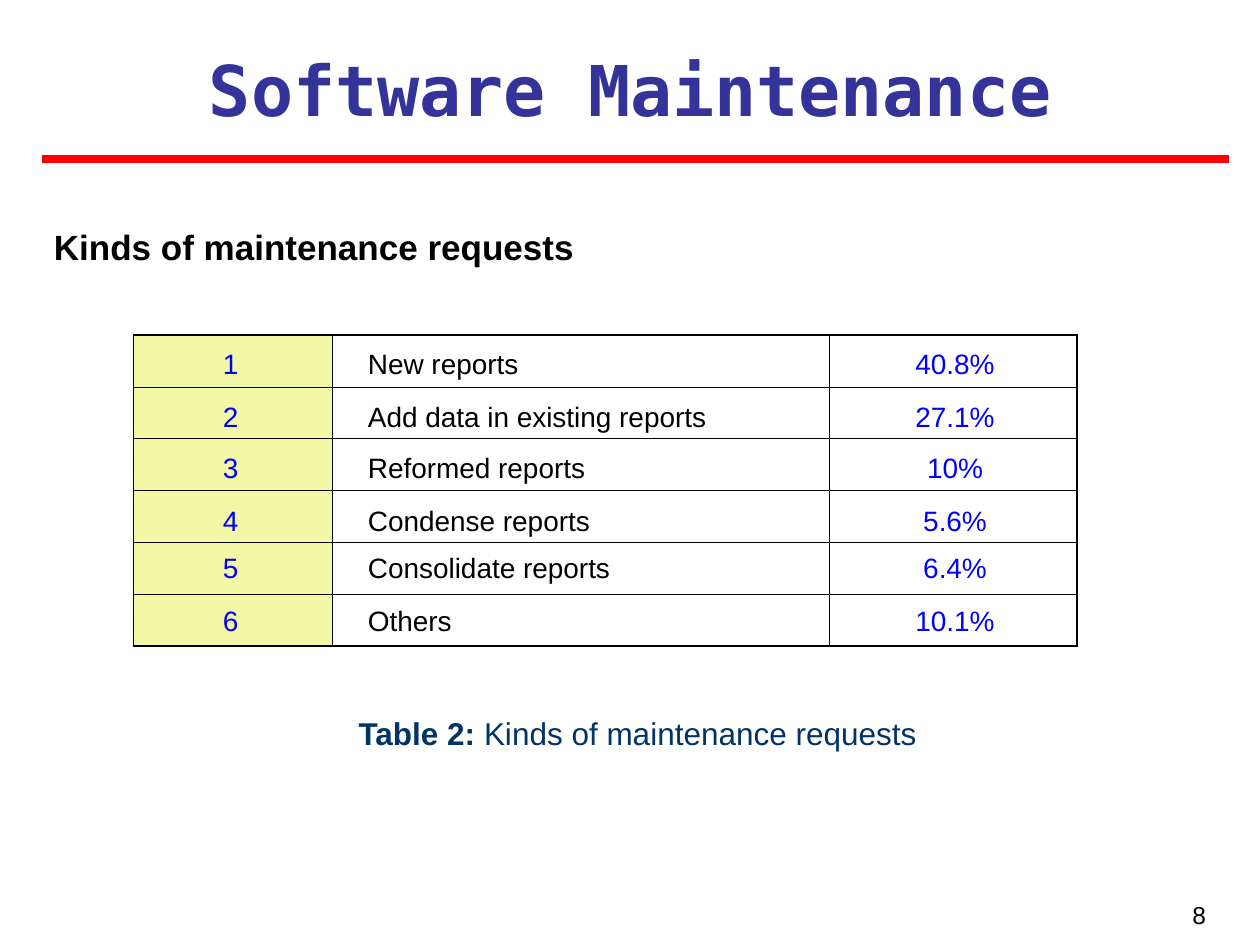
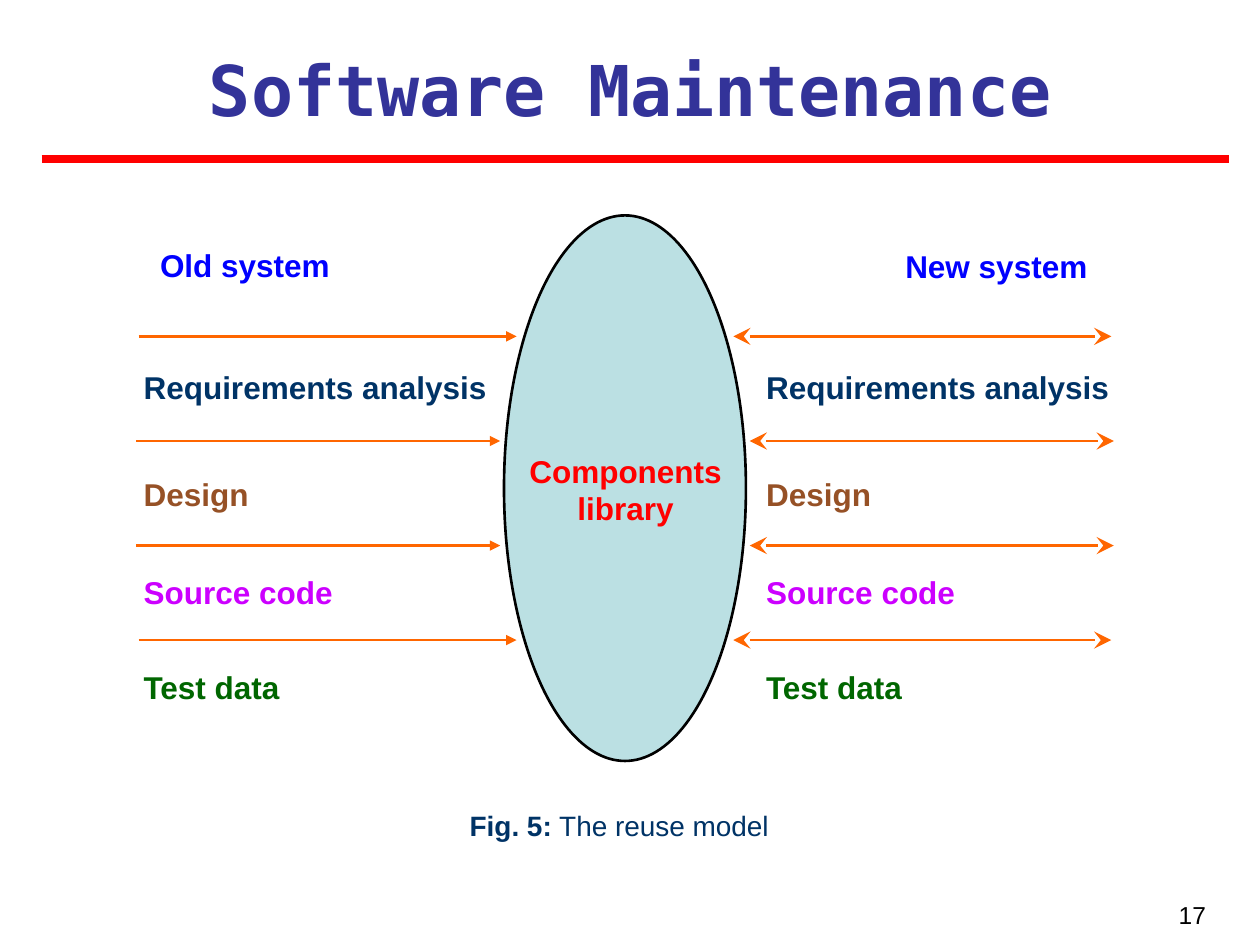
from lxml import etree
from pptx import Presentation
from pptx.dml.color import RGBColor
from pptx.enum.shapes import MSO_CONNECTOR as Connector, MSO_SHAPE as Shape
from pptx.enum.text import MSO_ANCHOR as Anchor, MSO_AUTO_SIZE as AutoSize, PP_ALIGN as Align
from pptx.oxml import parse_xml
from pptx.oxml.ns import nsdecls, qn
from pptx.util import Inches, Pt

# Shared look
BODY_FONT, TITLE_FONT = "Arial", "DejaVu Sans Mono"
BLACK, RED, BLUE, NAVY = "000000", "FF0000", "0000FF", "003366"
TITLE_COLOR, ARROW_COLOR = "333399", "FF6600"
NUMBER_FILL, LIBRARY_FILL = "F2F8A6", "BBE0E3"
OUTER_BORDER, INNER_BORDER = 1.08, 0.45

# Text offset from the top of the table, then the three entries of the row
REQUESTS = [
    (0.09, "1", "New reports", "40.8%"),
    (0.51, "2", "Add data in existing reports", "27.1%"),
    (0.92, "3", "Reformed reports", "10%"),
    (1.34, "4", "Condense reports", "5.6%"),
    (1.71, "5", "Consolidate reports", "6.4%"),
    (2.13, "6", "Others", "10.1%"),
]
# Text offset from the left of the table, width, colour, alignment
REQUEST_COLUMNS = [
    (0.27, 1, BLUE, Align.CENTER),
    (1.86, 3.58, BLACK, Align.LEFT),
    (6.02, 1, BLUE, Align.CENTER),
]

# Stage, colour, arrow offset, label offset, arrow gap from the axis, arrow length
STAGES = [
    ("Requirements analysis", NAVY, 0.96, 1.21, 0.86, 3),
    ("Design", "965126", 1.79, 2.06, 0.99, 2.89),
    ("Source code", "CC00FF", 2.62, 2.84, 0.99, 2.89),
    ("Test data", "006600", 3.37, 3.59, 0.86, 3),
]


def color(hex_string):
    return RGBColor.from_string(hex_string)


def inches(*lengths):
    return [Inches(length) for length in lengths]


def add_run(paragraph, text, size, hex_string, bold=False, font=BODY_FONT):
    run = paragraph.add_run()
    run.text = text
    run.font.name = font
    run.font.size = Pt(size)
    run.font.bold = bold
    run.font.color.rgb = color(hex_string)


def set_frame(frame, inset_x=0, inset_y=0):
    frame.word_wrap = True
    frame.auto_size = AutoSize.NONE
    frame.vertical_anchor = Anchor.TOP
    frame.margin_left = frame.margin_right = Inches(inset_x)
    frame.margin_top = frame.margin_bottom = Inches(inset_y)


def add_text(slide, box, runs, align=Align.LEFT, inset_x=0, inset_y=0):
    """Each run is (text, size, colour, bold)."""
    frame = slide.shapes.add_textbox(*inches(*box)).text_frame
    set_frame(frame, inset_x, inset_y)
    paragraph = frame.paragraphs[0]
    paragraph.alignment = align
    for run in runs:
        add_run(paragraph, *run)


def add_line(slide, start, end, hex_string, width, head=None, tail=None, head_size="med"):
    line = slide.shapes.add_connector(Connector.STRAIGHT, *inches(*start, *end))
    line.line.color.rgb = color(hex_string)
    line.line.width = Pt(width)
    outline = line.line._get_or_add_ln()
    for tag, kind in (("a:headEnd", head), ("a:tailEnd", tail)):
        if kind:
            etree.SubElement(outline, qn(tag), type=kind, w=head_size, len=head_size)
    etree.SubElement(line._element.spPr, qn("a:effectLst"))


def add_caption(slide, box, label, text, size):
    runs = [(label, size, NAVY, True), (text, size, NAVY, False)]
    add_text(slide, box, runs, Align.CENTER)


def add_base_slide(presentation, title_text, number):
    """Title, red rule and page number shared by all slides."""
    slide = presentation.slides.add_slide(presentation.slide_layouts[5])
    add_text(slide, (7.34, 7.09, 2.33, 0.41), [(number, 14, BLACK, False)],
             Align.RIGHT, 0.1, 0.05)
    add_line(slide, (0.33, 1.26), (9.75, 1.26), RED, 4.5)
    title = slide.shapes.title
    title.left, title.top, title.width, title.height = inches(0.33, 0.32, 9.34, 0.77)
    set_frame(title.text_frame, 0.1, 0.05)
    paragraph = title.text_frame.paragraphs[0]
    paragraph.alignment = Align.CENTER
    add_run(paragraph, title_text, 40, TITLE_COLOR, True, TITLE_FONT)
    return slide


def set_borders(cell, widths):
    properties = cell._tc.get_or_add_tcPr()
    for position, (side, width) in enumerate(zip("LRTB", widths)):
        properties.insert(position, parse_xml(
            f'<a:ln{side} {nsdecls("a")} w="{Pt(width)}"><a:solidFill>'
            f'<a:srgbClr val="{BLACK}"/></a:solidFill></a:ln{side}>'))


def add_request_grid(slide, box):
    """Ruled table with a tinted first column."""
    width, height = box[2:]
    column_widths = (1.58, 3.94, width - 5.52)
    last_row, last_column = len(REQUESTS) - 1, len(column_widths) - 1
    table = slide.shapes.add_table(last_row + 1, last_column + 1, *inches(*box)).table
    table.first_row = table.horz_banding = False
    for column, column_width in zip(table.columns, column_widths):
        column.width = Inches(column_width)
    for row, table_row in enumerate(table.rows):
        table_row.height = Inches(height / len(REQUESTS))
        for column, cell in enumerate(table_row.cells):
            if column == 0:
                cell.fill.solid()
                cell.fill.fore_color.rgb = color(NUMBER_FILL)
            else:
                cell.fill.background()
            on_edge = (column == 0, column == last_column, row == 0, row == last_row)
            set_borders(cell, [OUTER_BORDER if edge else INNER_BORDER for edge in on_edge])


def add_request_table(slide, box):
    left, top = box[:2]
    add_request_grid(slide, box)
    for text_offset, *entries in REQUESTS:
        for text, (offset, width, text_color, align) in zip(entries, REQUEST_COLUMNS):
            add_text(slide, (left + offset, top + text_offset, width, 0.27),
                     [(text, 16, text_color, False)], align)


def add_library(slide, box):
    """Ellipse in the middle of the reuse model."""
    left, top, width, height = box
    ellipse = slide.shapes.add_shape(Shape.OVAL, *inches(*box))
    ellipse.shadow.inherit = False
    ellipse.fill.solid()
    ellipse.fill.fore_color.rgb = color(LIBRARY_FILL)
    ellipse.line.color.rgb = color(BLACK)
    ellipse.line.width = Pt(1.5)
    add_text(slide, (left + 0.09, top + height / 2 - 0.29, width - 0.17, 0.6),
             [("Components library", 18, RED, True)], Align.CENTER)


def add_reuse_model(slide, box):
    left, top, width, height = box
    axis, right = left + width / 2, left + width
    add_library(slide, (axis - 0.96, top, 1.92, height))

    # System headings
    add_text(slide, (left + 0.19, top + 0.24, 2.28, 0.3), [("Old system", 18, BLUE, True)])
    add_text(slide, (right - 2.49, top + 0.25, 2.28, 0.3),
             [("New system", 18, BLUE, True)], Align.RIGHT)

    # Arrows and stage labels on both sides of the axis
    for name, stage_color, arrow_offset, label_offset, gap, length in STAGES:
        arrow_y, label_y = top + arrow_offset, top + label_offset
        old_end, new_start = axis - gap, axis + gap
        add_line(slide, (old_end - length, arrow_y), (old_end, arrow_y),
                 ARROW_COLOR, 1.5, tail="triangle")
        add_line(slide, (new_start, arrow_y), (new_start + length, arrow_y),
                 ARROW_COLOR, 1.5, head="stealth", tail="stealth", head_size="lg")
        for label_left, label_width in ((left + 0.06, 2.76), (left + 5, 3.42)):
            add_text(slide, (label_left, label_y, label_width, 0.3),
                     [(name, 18, stage_color, True)])


def add_requests_slide(presentation):
    slide = add_base_slide(presentation, "Software Maintenance", "8")
    add_text(slide, (0.33, 1.74, 4.6, 0.44),
             [("Kinds of maintenance requests", 20, BLACK, True)], inset_x=0.1, inset_y=0.05)
    add_request_table(slide, (1.06, 2.66, 7.49, 2.47))
    add_caption(slide, (0.42, 5.67, 9.28, 0.3),
                "Table 2:", " Kinds of maintenance requests", 18)


def add_reuse_slide(presentation):
    slide = add_base_slide(presentation, "Software Maintenance", "17")
    add_reuse_model(slide, (1.08, 1.71, 7.76, 4.33))
    add_caption(slide, (2, 6.42, 5.83, 0.27), "Fig. 5:", " The reuse model", 16)


def main():
    presentation = Presentation()
    presentation.slide_width, presentation.slide_height = inches(10, 7.5)
    add_requests_slide(presentation)
    add_reuse_slide(presentation)
    presentation.save("out.pptx")


if __name__ == "__main__":
    main()
